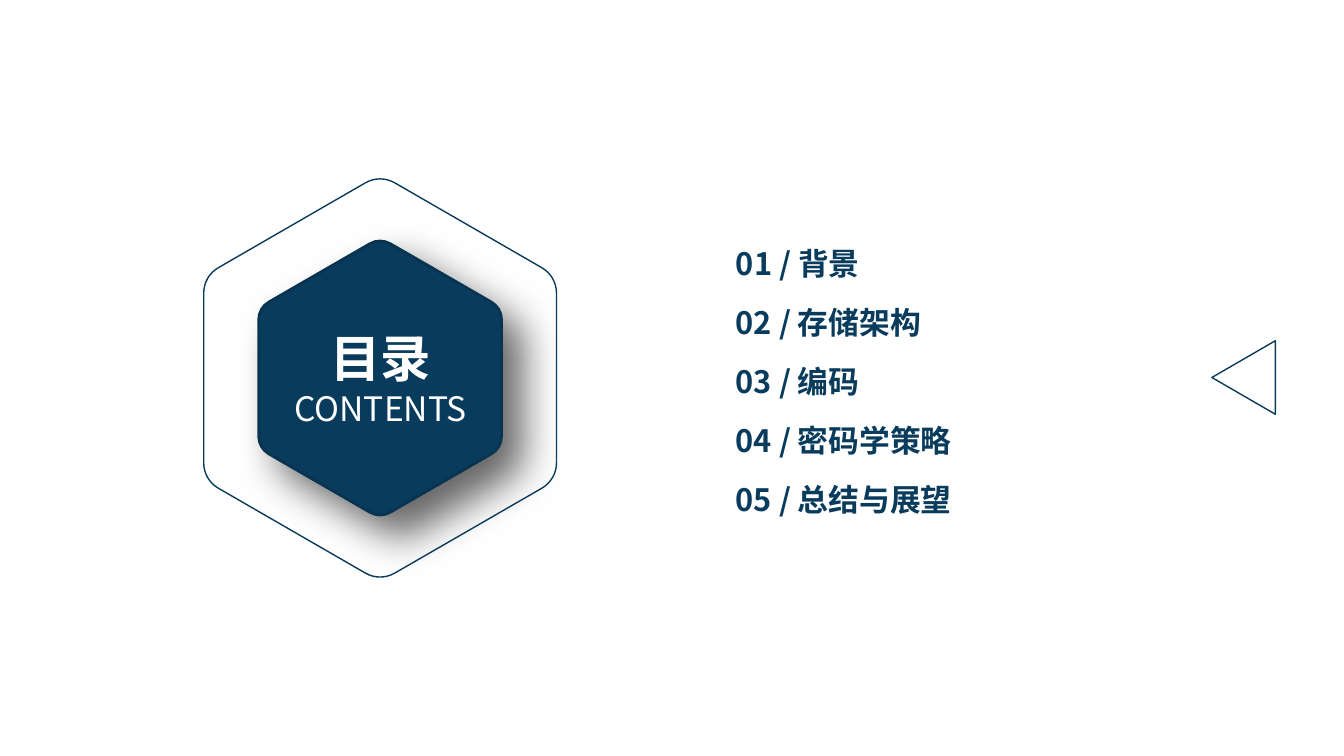
from math import cos, radians, sin

from lxml import etree
from pptx import Presentation
from pptx.dml.color import RGBColor
from pptx.enum import shapes, text
from pptx.oxml import ns
from pptx.util import Inches, Pt

NAVY, NAVY_EDGE, WHITE = "093B5C", "083451", "FFFFFF"
FONT = "Noto Sans CJK SC"


def color(target, value):
    """Colour a fill, a line or a font with a hex string."""
    if hasattr(target, "solid"):
        target.solid()
        target.fore_color.rgb = RGBColor.from_string(value)
    else:
        target.color.rgb = RGBColor.from_string(value)


def style(paragraph, size, value, bold):
    font = paragraph.font
    font.name, font.size, font.bold = FONT, Pt(size), bold
    color(font, value)
    east_asian = etree.SubElement(font._element, ns.qn("a:ea"))
    east_asian.set("typeface", FONT)


prs = Presentation()
prs.slide_width, prs.slide_height = Inches(13.33), Inches(7.5)
slide = prs.slides.add_slide(prs.slide_layouts[6])

# Agenda entries, evenly spaced between the first and last top
first_top, last_top = 2.38, 4.72
chapters = [("背景", 2.78), ("存储架构", 3.57), ("编码", 3.97), ("密码学策略", 3.97), ("总结与展望", 3.97)]
for row, (chapter, width) in enumerate(chapters):
    top = first_top + (last_top - first_top) * row / (len(chapters) - 1)
    entry = slide.shapes.add_textbox(Inches(7.2), Inches(top), Inches(width), Inches(0.47)).text_frame
    entry.word_wrap = True
    entry.auto_size = text.MSO_AUTO_SIZE.SHAPE_TO_FIT_TEXT
    entry.text = f"{row + 1:02d} / {chapter}"
    style(entry.paragraphs[0], 22, NAVY, True)

# Rounded hexagons around one centre: filled badge, then outer ring
center_x, center_y = 3.77, 3.75
hexagons = []
for radius, edge, weight in [(1.39, NAVY_EDGE, 2), (2.02, NAVY, 1)]:
    trim, apothem = radius / 12, radius * cos(radians(30))
    outline = []
    for corner in range(6):
        angle = radians(60 * corner - 90)
        vertex_x, vertex_y = center_x + radius * cos(angle), center_y + radius * sin(angle)
        # Curve start, two handles and curve end on the sides that meet here
        for turn, distance in [(-120, trim), (-120, trim * 0.38), (120, trim * 0.38), (120, trim)]:
            side = angle + radians(turn)
            outline.append((Inches(vertex_x + distance * cos(side)), Inches(vertex_y + distance * sin(side))))
        middle = angle + radians(30)
        outline.append((Inches(center_x + apothem * cos(middle)), Inches(center_y + apothem * sin(middle))))
    builder = slide.shapes.build_freeform(*outline[0])
    builder.add_line_segments(outline[1:], close=True)
    hexagon = builder.convert_to_shape()

    # Turn the three segments at each corner into one Bezier curve
    segments = list(hexagon._element.iter(ns.qn("a:lnTo")))
    for start in range(0, len(segments), 5):
        curve = etree.Element(ns.qn("a:cubicBezTo"))
        segments[start].addprevious(curve)
        for segment in segments[start:start + 3]:
            curve.append(segment[0])
            segment.getparent().remove(segment)

    hexagon.shadow.inherit = False
    hexagon.fill.background()
    color(hexagon.line, edge)
    hexagon.line.width = Pt(weight)
    hexagons.append(hexagon)

# Badge fill and its soft shadow
badge = hexagons[0]
color(badge.fill, NAVY)
effects = badge._element.spPr.find(ns.qn("a:effectLst"))
shadow = etree.SubElement(effects, ns.qn("a:outerShdw"), blurRad=str(Pt(30)), dist=str(Pt(20)),
                          dir=str(45 * 60000), algn="tl", rotWithShape="0")
shade = etree.SubElement(shadow, ns.qn("a:srgbClr"), val="000000")
etree.SubElement(shade, ns.qn("a:alpha"), val="60000")

# Badge title
title = slide.shapes.add_textbox(Inches(2.56), Inches(3.2), Inches(2.43), Inches(1.11)).text_frame
title.word_wrap = True
title.auto_size = text.MSO_AUTO_SIZE.SHAPE_TO_FIT_TEXT
title.text = "目录\nCONTENTS"
for line, size, bold in zip(title.paragraphs, (36, 24), (True, False)):
    line.alignment = text.PP_ALIGN.CENTER
    style(line, size, WHITE, bold)

# Triangle pointing left at the right edge
pointer = slide.shapes.add_shape(shapes.MSO_SHAPE.ISOSCELES_TRIANGLE, Inches(11.97), Inches(3.43),
                                 Inches(0.73), Inches(0.63))
pointer.rotation = 270
pointer.shadow.inherit = False
pointer.fill.background()
color(pointer.line, NAVY)
pointer.line.width = Pt(1)

prs.save("out.pptx")
